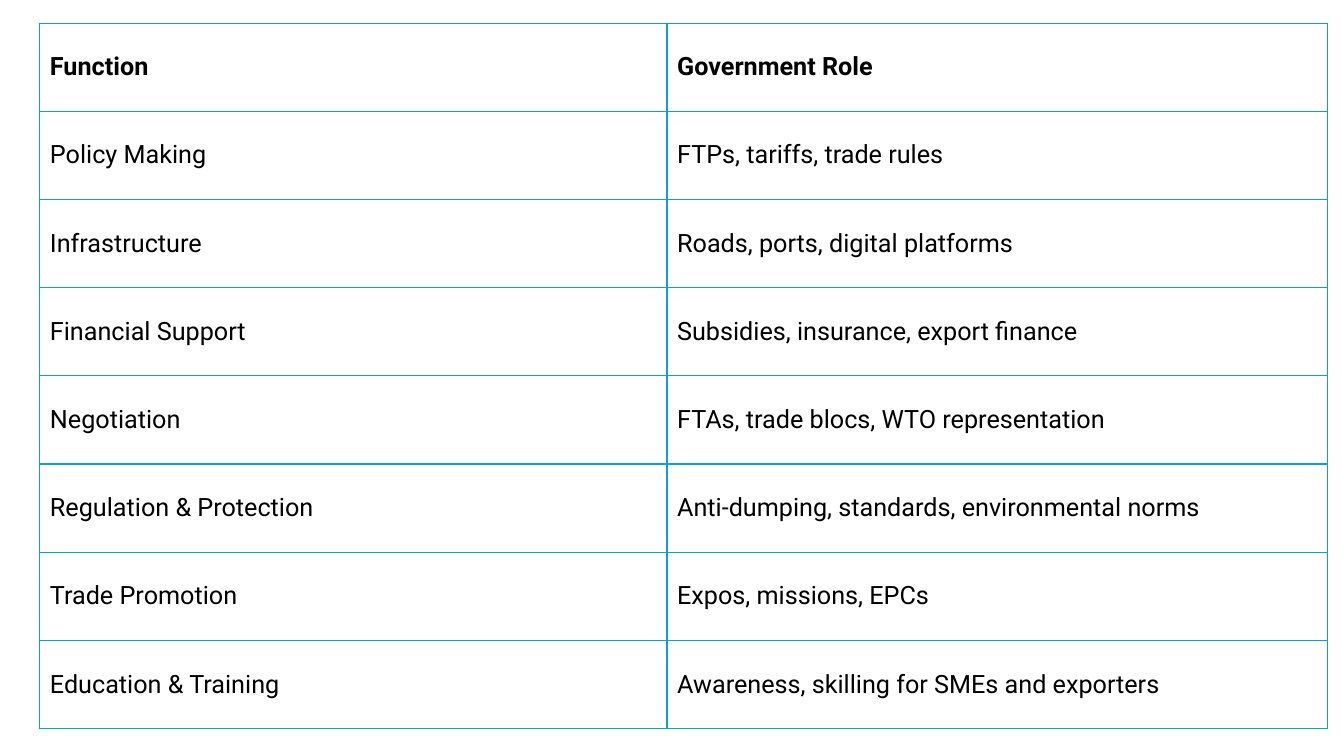
"""Build a slide with a table of government roles in trade."""
import pptx
import pptx.dml.color
import pptx.enum.text
import pptx.oxml
import pptx.oxml.ns
import pptx.util
from dataclasses import dataclass

Pt = pptx.util.Pt


@dataclass(frozen=True)
class Theme:
    font: str = "Roboto"
    size: int = 18
    ink: str = "000000"
    rule: str = "0F9ED5"
    width: int = 1


class Deck:
    def __init__(self, theme):
        self.theme = theme
        self.file = pptx.Presentation()
        self.file.slide_width = Pt(960)
        self.file.slide_height = Pt(540)
        self.slide = self.file.slides.add_slide(self.file.slide_layouts[6])

    def edge(self, cell):
        props = cell._tc.get_or_add_tcPr()
        for index, side in enumerate(("lnL", "lnR", "lnT", "lnB")):
            line = pptx.oxml.parse_xml(
                f'<a:{side} {pptx.oxml.ns.nsdecls("a")} w="{Pt(self.theme.width)}">'
                f'<a:solidFill><a:srgbClr val="{self.theme.rule}"/></a:solidFill>'
                f'</a:{side}>')
            props.insert(index, line)

    def cell(self, cell, text, bold):
        cell.fill.background()
        cell.vertical_anchor = pptx.enum.text.MSO_ANCHOR.MIDDLE
        cell.text = text
        font = cell.text_frame.paragraphs[0].font
        font.name = self.theme.font
        font.size = Pt(self.theme.size)
        font.bold = bold
        font.color.rgb = pptx.dml.color.RGBColor.from_string(self.theme.ink)
        self.edge(cell)

    def table(self, rows, left, top, widths, height):
        frame = self.slide.shapes.add_table(
            len(rows), len(widths), Pt(left), Pt(top),
            Pt(sum(widths)), Pt(height * len(rows)))
        table = frame.table
        table.horz_banding = False
        for col, width in zip(table.columns, widths):
            col.width = Pt(width)
        for r, row in enumerate(rows):
            table.rows[r].height = Pt(height)
            for c, text in enumerate(row):
                self.cell(table.cell(r, c), text, r == 0)


ROLES = [
    ("Function", "Government Role"),
    ("Policy Making", "FTPs, tariffs, trade rules"),
    ("Infrastructure", "Roads, ports, digital platforms"),
    ("Financial Support", "Subsidies, insurance, export finance"),
    ("Negotiation", "FTAs, trade blocs, WTO representation"),
    ("Regulation & Protection", "Anti-dumping, standards, environmental norms"),
    ("Trade Promotion", "Expos, missions, EPCs"),
    ("Education & Training", "Awareness, skilling for SMEs and exporters"),
]


def main():
    deck = Deck(Theme())
    deck.table(ROLES, 28.5, 16.5, (448, 471.5), 63)
    deck.file.save("out.pptx")


if __name__ == "__main__":
    main()
